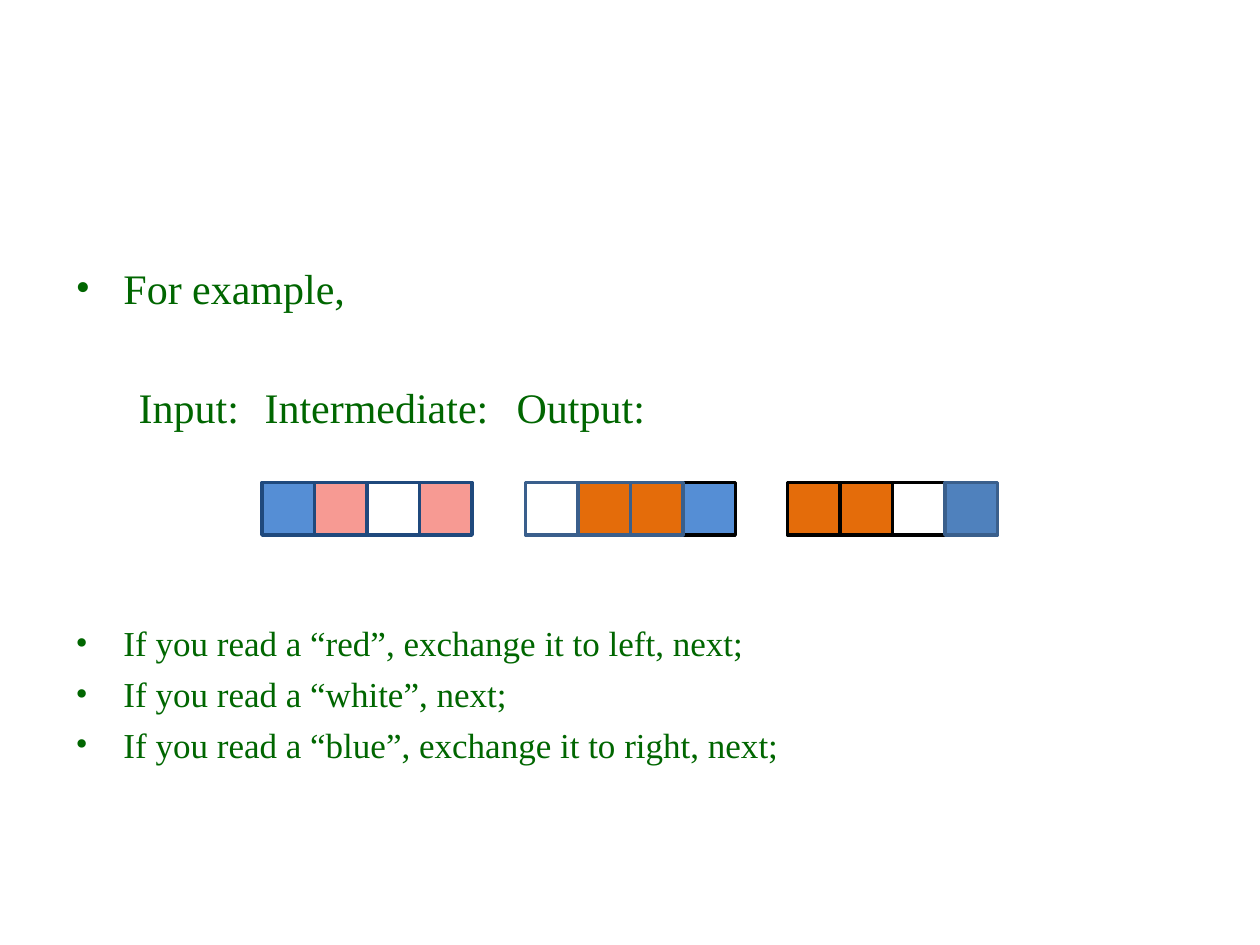
from lxml import etree
from pptx import Presentation
from pptx.dml.color import RGBColor
from pptx.enum.shapes import MSO_SHAPE
from pptx.enum.text import MSO_AUTO_SIZE
from pptx.oxml.ns import qn
from pptx.util import Inches, Pt

RECTANGLE = MSO_SHAPE.RECTANGLE
NO_AUTOFIT = MSO_AUTO_SIZE.NONE

GREEN = RGBColor(0x00, 0x66, 0x00)
BLACK = RGBColor(0x00, 0x00, 0x00)
WHITE = RGBColor(0xFF, 0xFF, 0xFF)
PINK = RGBColor(0xF7, 0x9A, 0x93)
ORANGE = RGBColor(0xE4, 0x6C, 0x0A)
BLUE = RGBColor(0x55, 0x8E, 0xD5)
STEEL = RGBColor(0x4F, 0x81, 0xBD)
NAVY = RGBColor(0x1F, 0x49, 0x7D)
SLATE = RGBColor(0x3A, 0x5F, 0x8C)

prs = Presentation()
prs.slide_width, prs.slide_height = Inches(10), Inches(7.5)
slide = prs.slides.add_slide(prs.slide_layouts[1])
title = slide.shapes.title
title.element.getparent().remove(title.element)

body = slide.placeholders[1]
body.left, body.top = Inches(0.5), Inches(2.03)
body.width, body.height = Inches(9), Inches(5.05)
frame = body.text_frame
frame.auto_size = NO_AUTOFIT

# Text, size, space before, bulleted
lines = [
    ("For example,", 24, 0, True),
    ("\tInput:\tIntermediate:\tOutput:", 24, 39.3, False),
    ("If you read a “red”, exchange it to left, next;", 20, 108.6, True),
    ("If you read a “white”, next;", 20, 5, True),
    ("If you read a “blue”, exchange it to right, next;", 20, 5, True),
]
LABEL_STOPS = (1.42, 3.46, 5.57)

frame.text = "\n".join(line[0] for line in lines)
for paragraph, (_, size, space, bulleted) in zip(frame.paragraphs, lines):
    properties = paragraph._p.get_or_add_pPr()
    indent = Inches(0.38) if bulleted else 0
    properties.set("marL", str(indent))
    properties.set("indent", str(-indent))
    if bulleted:
        etree.SubElement(properties, qn("a:buFont"), typeface="Times New Roman")
        etree.SubElement(properties, qn("a:buChar"), char="•")
    else:
        etree.SubElement(properties, qn("a:buNone"))
        tabs = etree.SubElement(properties, qn("a:tabLst"))
        for stop in LABEL_STOPS:
            etree.SubElement(tabs, qn("a:tab"), pos=str(Inches(stop)), algn="l")
    paragraph.space_before = Pt(space)
    for run in paragraph.runs:
        run.font.name = "Times New Roman"
        run.font.size = Pt(size)
        run.font.color.rgb = GREEN

# Each row of cells: left edge, then (fill, outline) from left to right
CELL = 5 / 12
rows = [
    (2.08, [(BLUE, NAVY), (PINK, NAVY), (WHITE, NAVY), (PINK, NAVY)]),
    (4.17, [(WHITE, SLATE), (ORANGE, SLATE), (ORANGE, SLATE), (BLUE, BLACK)]),
    (6.25, [(ORANGE, BLACK), (ORANGE, BLACK), (WHITE, BLACK), (STEEL, SLATE)]),
]
cells = [(left + i * CELL, fill, outline)
         for left, colours in rows
         for i, (fill, outline) in enumerate(colours)]
# Black outlines lie beneath the coloured ones
cells.sort(key=lambda cell: cell[2] != BLACK)
for left, fill, outline in cells:
    square = slide.shapes.add_shape(
        RECTANGLE, Inches(left), Inches(3.83), Inches(CELL), Inches(CELL))
    square.shadow.inherit = False
    square.fill.solid()
    square.fill.fore_color.rgb = fill
    square.line.color.rgb = outline
    square.line.width = Pt(2)

prs.save("out.pptx")
